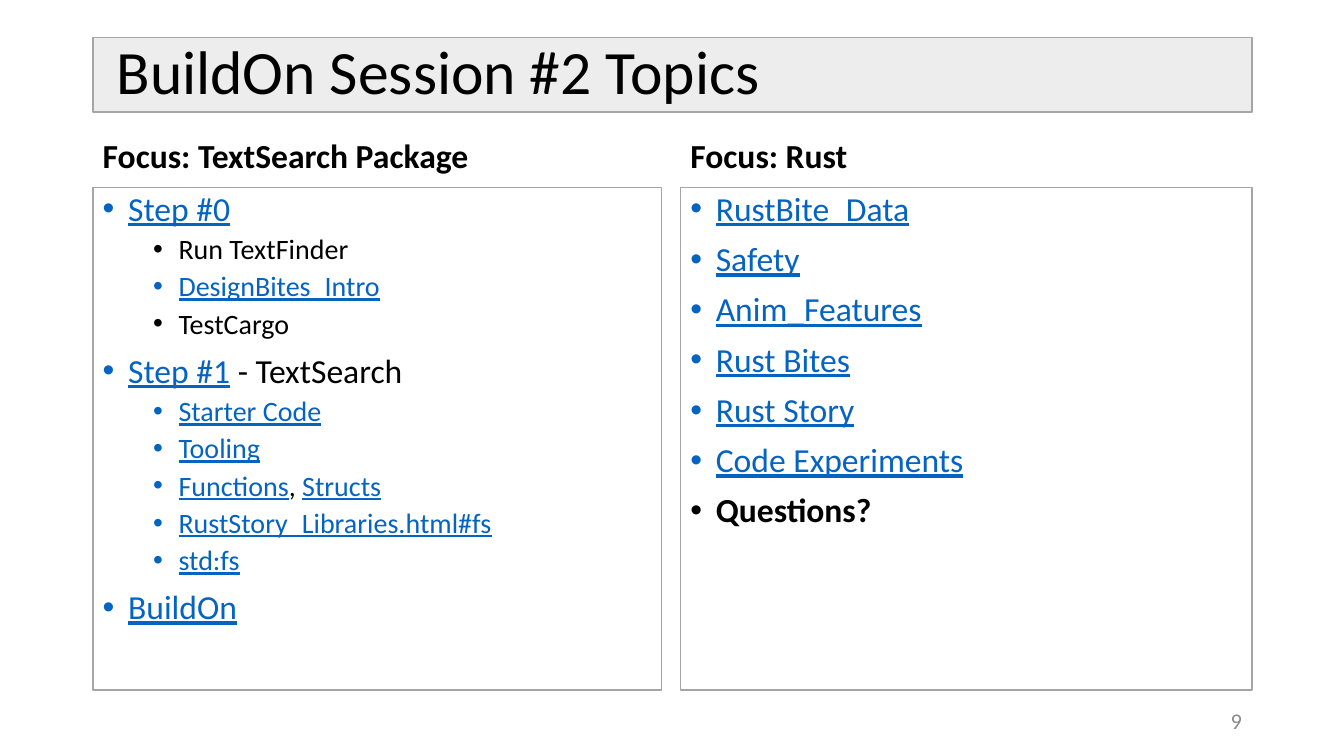
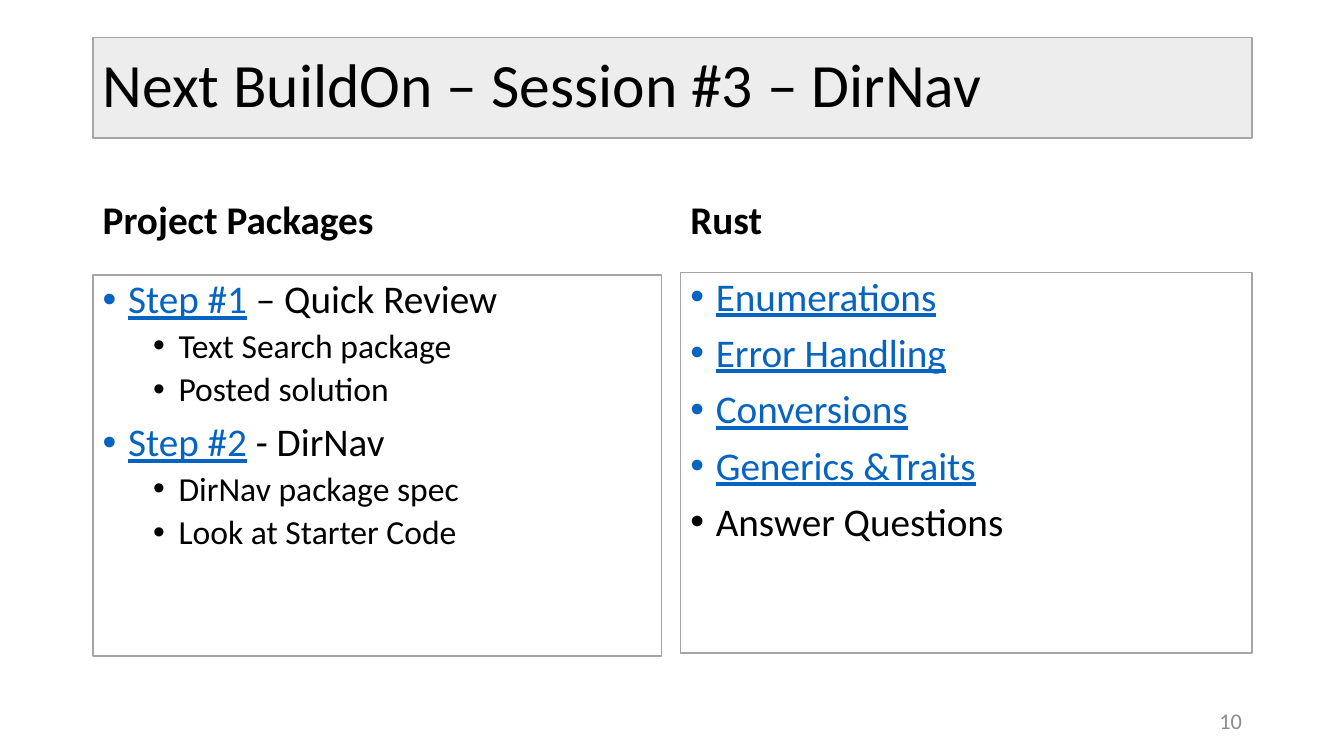
from dataclasses import dataclass

import pptx
import pptx.dml.color
import pptx.enum.shapes
import pptx.enum.text
import pptx.oxml.ns
import pptx.util
from lxml import etree
from pptx.util import Cm, Pt

Rgb = pptx.dml.color.RGBColor
Anchor = pptx.enum.text.MSO_ANCHOR
Align = pptx.enum.text.PP_ALIGN


@dataclass(frozen=True)
class Theme:
    font: str = "Calibri"
    ink: Rgb = Rgb(0x00, 0x00, 0x00)
    link: Rgb = Rgb(0x05, 0x63, 0xC1)
    band: Rgb = Rgb(0xED, 0xED, 0xED)
    panel: Rgb = Rgb(0xFF, 0xFF, 0xFF)
    border: Rgb = Rgb(0xA5, 0xA5, 0xA5)
    footer: Rgb = Rgb(0x8C, 0x8C, 0x8C)
    title_size: int = 44
    footer_size: int = 16
    sub_step: int = 4
    line_spacing: float = 0.9
    space_before: tuple = (10, 5)
    indent: tuple = (0.64, 1.91)
    hanging: float = 0.64


THEME = Theme()
LEFT, RIGHT, TITLE_TOP = 2.34, 31.55, 0.94
COLUMNS = ((LEFT, 14.33), (17.15, RIGHT - 17.15))


@dataclass(frozen=True)
class Span:
    text: str
    linked: bool = False
    bold: bool = False


@dataclass(frozen=True)
class Item:
    spans: tuple
    level: int = 0


def link(text):
    return Span(text, linked=True)


def topic(*spans):
    return Item(spans)


def detail(*spans):
    return Item(spans, level=1)


def add_frame(slide, left, top, width, height, anchor, fill=None):
    """Add a text area, bordered when it has a fill, and return its text frame."""
    box = tuple(Cm(length) for length in (left, top, width, height))
    if fill is None:
        area = slide.shapes.add_textbox(*box)
    else:
        area = slide.shapes.add_shape(pptx.enum.shapes.MSO_SHAPE.RECTANGLE, *box)
        area.shadow.inherit = False
        area.fill.solid()
        area.fill.fore_color.rgb = fill
        area.line.color.rgb = THEME.border
        area.line.width = Pt(1)
    area.text_frame.word_wrap = True
    area.text_frame.vertical_anchor = anchor
    return area.text_frame


def add_span(paragraph, span, size, color=THEME.ink):
    run = paragraph.add_run()
    run.text = span.text
    run.font.name = THEME.font
    run.font.size = Pt(size)
    run.font.bold = span.bold
    run.font.underline = span.linked
    run.font.color.rgb = THEME.link if span.linked else color


def add_line(frame, span, size, color=THEME.ink, align=Align.LEFT, spacing=None):
    paragraph = frame.paragraphs[0]
    paragraph.alignment = align
    paragraph.line_spacing = spacing
    add_span(paragraph, span, size, color)


def set_bullet(paragraph, level, color):
    properties = paragraph._p.get_or_add_pPr()
    properties.set("marL", str(Cm(THEME.indent[level])))
    properties.set("indent", str(-Cm(THEME.hanging)))
    qn = pptx.oxml.ns.qn
    bullet_color = etree.SubElement(properties, qn("a:buClr"))
    etree.SubElement(bullet_color, qn("a:srgbClr"), val=str(color))
    etree.SubElement(properties, qn("a:buFont"), typeface="Arial")
    etree.SubElement(properties, qn("a:buChar"), char="•")


def add_topics(frame, items, size):
    for number, item in enumerate(items):
        paragraph = frame.add_paragraph() if number else frame.paragraphs[0]
        paragraph.level = item.level
        paragraph.alignment = Align.LEFT
        paragraph.line_spacing = THEME.line_spacing
        paragraph.space_before = Pt(THEME.space_before[item.level])
        set_bullet(paragraph, item.level,
                   THEME.link if item.spans[0].linked else THEME.ink)
        for span in item.spans:
            add_span(paragraph, span, size - THEME.sub_step * item.level)


def add_title(slide, title, height):
    band = add_frame(slide, LEFT, TITLE_TOP, RIGHT - LEFT, height,
                     Anchor.MIDDLE, THEME.band)
    add_line(band, Span(title), THEME.title_size, spacing=THEME.line_spacing)


def add_page_number(slide, number):
    width = 7.62
    footer = add_frame(slide, RIGHT - width, 17.65, width, 1.02, Anchor.MIDDLE)
    add_line(footer, Span(str(number)), THEME.footer_size, THEME.footer, Align.RIGHT)


def add_comparison(deck, number, title, title_height, heading_box, panel_tops,
                   panel_height, size, columns):
    """Add a slide with two headed topic panels; heading_box is (top, height)."""
    slide = deck.slides.add_slide(deck.slide_layouts[6])
    add_title(slide, title, title_height)
    heading_top, heading_height = heading_box
    for (left, width), top, (heading, items) in zip(COLUMNS, panel_tops, columns):
        label = add_frame(slide, left, heading_top, width, heading_height, Anchor.BOTTOM)
        add_line(label, Span(heading, bold=True), size, spacing=THEME.line_spacing)
        panel = add_frame(slide, left, top, width, panel_height,
                          Anchor.TOP, THEME.panel)
        add_topics(panel, items, size)
    add_page_number(slide, number)


def main():
    deck = pptx.Presentation()
    deck.slide_width, deck.slide_height = Cm(33.87), Cm(19.05)

    add_comparison(
        deck, 9, " BuildOn Session #2 Topics", title_height=1.88,
        heading_box=(3.2, 1.35), panel_tops=(4.72, 4.72), panel_height=12.67, size=24,
        columns=(
            ("Focus: TextSearch Package", (
                topic(link("Step #0")),
                detail(Span("Run TextFinder")),
                detail(link("DesignBites_Intro")),
                detail(Span("TestCargo")),
                topic(link("Step #1"), Span(" - TextSearch")),
                detail(link("Starter Code")),
                detail(link("Tooling")),
                detail(link("Functions"), Span(", "), link("Structs")),
                detail(link("RustStory_Libraries.html#fs")),
                detail(link("std:fs")),
                topic(link("BuildOn")),
            )),
            ("Focus: Rust", (
                topic(link("RustBite_Data")),
                topic(link("Safety")),
                topic(link("Anim_Features")),
                topic(link("Rust Bites")),
                topic(link("Rust Story")),
                topic(link("Code Experiments")),
                topic(Span("Questions?", bold=True)),
            )),
        ))

    add_comparison(
        deck, 10, "Next BuildOn – Session #3 – DirNav", title_height=2.54,
        heading_box=(4.09, 2.16), panel_tops=(6.93, 6.86), panel_height=9.6, size=28,
        columns=(
            ("Project Packages", (
                topic(link("Step #1"), Span(" – Quick Review")),
                detail(Span("Text Search package")),
                detail(Span("Posted solution")),
                topic(link("Step #2"), Span(" - DirNav")),
                detail(Span("DirNav package spec")),
                detail(Span("Look at Starter Code")),
            )),
            ("Rust", (
                topic(link("Enumerations")),
                topic(link("Error Handling")),
                topic(link("Conversions")),
                topic(link("Generics &Traits")),
                topic(Span("Answer Questions")),
            )),
        ))

    deck.save("out.pptx")


if __name__ == "__main__":
    main()
